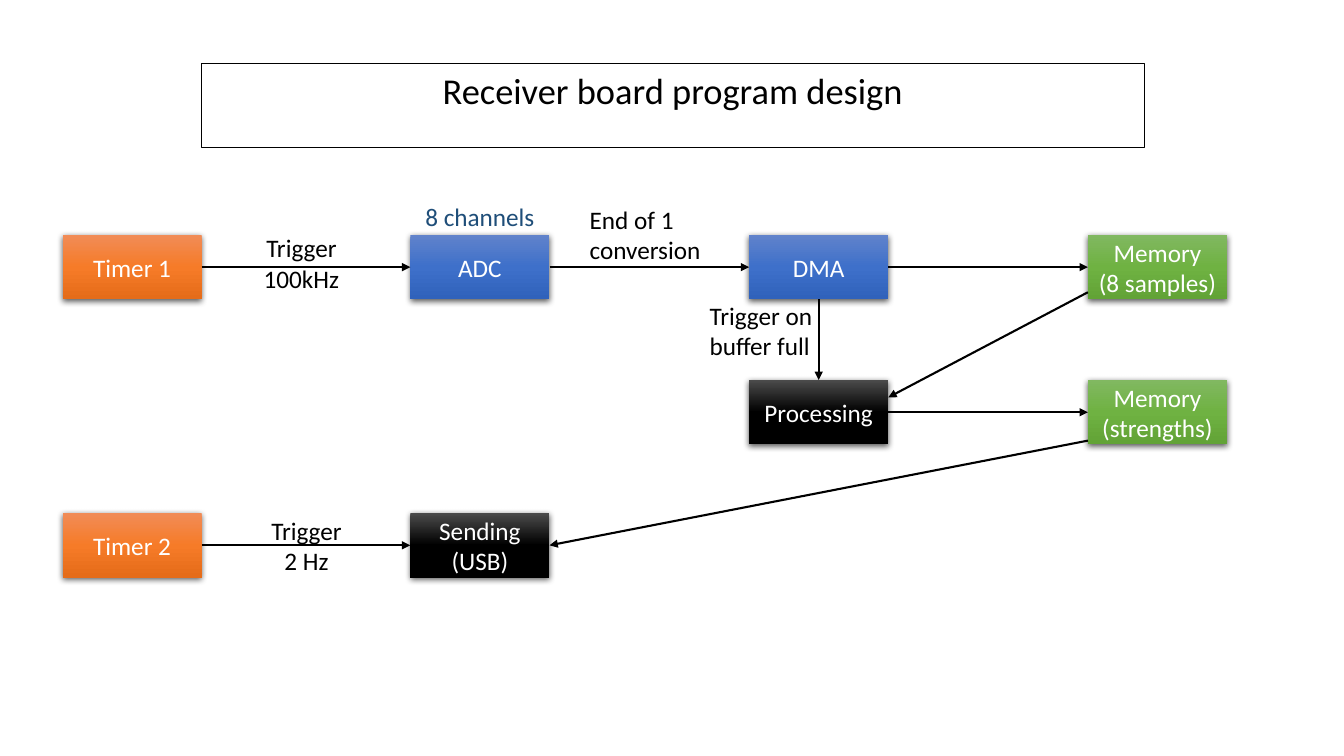
from dataclasses import dataclass
from typing import Any, NamedTuple

from lxml.etree import SubElement
from pptx import Presentation
from pptx.dml.color import RGBColor
from pptx.enum.shapes import MSO_CONNECTOR as Connector, MSO_SHAPE as Preset
from pptx.enum.text import MSO_ANCHOR as Anchor, MSO_AUTO_SIZE as AutoSize, PP_ALIGN as Align
from pptx.oxml.ns import qn
from pptx.util import Inches, Pt


@dataclass(frozen=True)
class Theme:
    font: str = "Calibri"
    body: float = 18
    heading: float = 26
    ink: str = "000000"
    paper: str = "FFFFFF"
    note: str = "1F4E79"
    timer: tuple = ("F18C57", "F67B28", "E56C19")
    peripheral: tuple = ("6183CB", "3E70CA", "3062BB")
    memory: tuple = ("81B861", "6FB242", "62A336")
    program: tuple = ("4B4B4B", "000000", "000000")
    arrow_width: float = 1.5
    frame_width: float = 1


class Stage(NamedTuple):
    text: str
    column: int
    row: int
    gradient: tuple


class Port(NamedTuple):
    across: float
    down: float


class Flow(NamedTuple):
    source: str
    leaves: Port
    target: str
    enters: Port


class Label(NamedTuple):
    text: str
    left: float
    top: float
    width: float
    height: float
    align: Align = Align.LEFT
    color: str = Theme.ink


THEME = Theme()
COLUMNS = (0.62, 4.07, 7.43, 10.79)
ROWS = (2.33, 3.77, 5.09)
STAGE_WIDTH, STAGE_HEIGHT = 1.38, 0.64
TOP, LEFT, BOTTOM, RIGHT = Port(0.5, 0), Port(0, 0.5), Port(0.5, 1), Port(1, 0.5)
SITES = {TOP: 0, LEFT: 1, BOTTOM: 2, RIGHT: 3}

STAGES = {
    "timer 1": Stage("Timer 1", 0, 0, THEME.timer),
    "timer 2": Stage("Timer 2", 0, 2, THEME.timer),
    "adc": Stage("ADC", 1, 0, THEME.peripheral),
    "dma": Stage("DMA", 2, 0, THEME.peripheral),
    "processing": Stage("Processing", 2, 1, THEME.program),
    "samples": Stage("Memory\v(8 samples)", 3, 0, THEME.memory),
    "sending": Stage("Sending\v(USB)", 1, 2, THEME.program),
    "strengths": Stage("Memory\v(strengths)", 3, 1, THEME.memory),
}
FLOWS = (
    Flow("timer 1", RIGHT, "adc", LEFT),
    Flow("adc", RIGHT, "dma", LEFT),
    Flow("dma", BOTTOM, "processing", TOP),
    Flow("dma", RIGHT, "samples", LEFT),
    Flow("timer 2", RIGHT, "sending", LEFT),
    Flow("strengths", Port(0, 0.94), "sending", RIGHT),
    Flow("processing", RIGHT, "strengths", LEFT),
    Flow("samples", Port(0, 0.89), "processing", Port(1, 0.27)),
)
LABELS = (
    Label("Trigger\v100kHz", 2.48, 2.26, 1.02, 0.71, Align.CENTER),
    Label("Trigger on\vbuffer full", 6.94, 2.93, 1.43, 0.71),
    Label("End of 1 conversion", 5.75, 1.98, 1.41, 0.71),
    Label("8 channels", 4.12, 1.95, 1.55, 0.4, color=THEME.note),
    Label("Trigger\v2 Hz", 2.53, 5.06, 1.02, 0.71, Align.CENTER),
)


def apply(target: Any, values: dict) -> None:
    for attribute, value in values.items():
        setattr(target, attribute, value)


def write(shape: Any, text: str, color: str, size: float, align: Align,
          anchor: Anchor = Anchor.TOP, fit: AutoSize = AutoSize.SHAPE_TO_FIT_TEXT) -> None:
    frame = shape.text_frame
    frame.text = text
    apply(frame, {
        "word_wrap": True, "auto_size": fit, "vertical_anchor": anchor,
        "margin_left": Inches(0.1), "margin_right": Inches(0.1),
        "margin_top": Inches(0.05), "margin_bottom": Inches(0.05),
    })
    paragraph = frame.paragraphs[0]
    apply(paragraph, {"alignment": align, "line_spacing": 1.0, "space_before": Pt(0)})
    for run in paragraph.runs:
        apply(run.font, {"name": THEME.font, "size": Pt(size)})
        run.font.color.rgb = RGBColor.from_string(color)


def add_color(parent: Any, color: str) -> Any:
    return SubElement(parent, qn("a:srgbClr"), val=color)


def shade(shape: Any, gradient: tuple) -> None:
    shape.fill.gradient()
    shape.fill.gradient_angle = 270
    properties = shape.element.spPr
    stops = properties.find(qn("a:gradFill")).find(qn("a:gsLst"))
    for stop in list(stops):
        stops.remove(stop)
    for index, color in enumerate(gradient):
        add_color(SubElement(stops, qn("a:gs"), pos=str(index * 50000)), color)
    shape.line.fill.background()
    shape.shadow.inherit = False
    shadow = SubElement(properties.find(qn("a:effectLst")), qn("a:outerShdw"),
                        blurRad=str(Pt(4.5)), dist=str(Pt(1.5)), dir="5400000",
                        algn="ctr", rotWithShape="0")
    SubElement(add_color(shadow, THEME.ink), qn("a:alpha"), val="63000")


def draw_stage(slide: Any, stage: Stage) -> Any:
    box = slide.shapes.add_shape(
        Preset.RECTANGLE, Inches(COLUMNS[stage.column]), Inches(ROWS[stage.row]),
        Inches(STAGE_WIDTH), Inches(STAGE_HEIGHT))
    shade(box, stage.gradient)
    write(box, stage.text, THEME.paper, THEME.body, Align.CENTER, Anchor.MIDDLE, AutoSize.NONE)
    return box


def locate(box: Any, port: Port) -> tuple[int, int]:
    return (round(box.left + box.width * port.across),
            round(box.top + box.height * port.down))


def draw_flow(slide: Any, boxes: dict, flow: Flow) -> None:
    source, target = boxes[flow.source], boxes[flow.target]
    arrow = slide.shapes.add_connector(
        Connector.STRAIGHT, *locate(source, flow.leaves), *locate(target, flow.enters))
    if flow.leaves in SITES:
        arrow.begin_connect(source, SITES[flow.leaves])
    if flow.enters in SITES:
        arrow.end_connect(target, SITES[flow.enters])
    arrow.line.width = Pt(THEME.arrow_width)
    arrow.line.color.rgb = RGBColor.from_string(THEME.ink)
    properties = arrow.element.spPr
    SubElement(properties.find(qn("a:ln")), qn("a:tailEnd"), type="triangle")
    SubElement(properties, qn("a:effectLst"))


def draw_label(slide: Any, label: Label) -> None:
    box = slide.shapes.add_textbox(*map(Inches, (label.left, label.top, label.width, label.height)))
    write(box, label.text, label.color, THEME.body, label.align)


def draw_title(slide: Any) -> None:
    title = slide.shapes.title
    apply(title, {"left": Inches(2), "top": Inches(0.63),
                  "width": Inches(9.35), "height": Inches(0.54)})
    title.fill.solid()
    title.fill.fore_color.rgb = RGBColor.from_string(THEME.paper)
    title.line.color.rgb = RGBColor.from_string(THEME.ink)
    title.line.width = Pt(THEME.frame_width)
    write(title, "Receiver board program design", THEME.ink, THEME.heading, Align.CENTER)


def main() -> None:
    deck = Presentation()
    apply(deck, {"slide_width": Inches(13.33), "slide_height": Inches(7.5)})
    slide = deck.slides.add_slide(deck.slide_layouts.get_by_name("Title Only"))
    draw_title(slide)
    boxes = {key: draw_stage(slide, stage) for key, stage in STAGES.items()}
    for flow in FLOWS:
        draw_flow(slide, boxes, flow)
    for label in LABELS:
        draw_label(slide, label)
    deck.save("out.pptx")


main()
